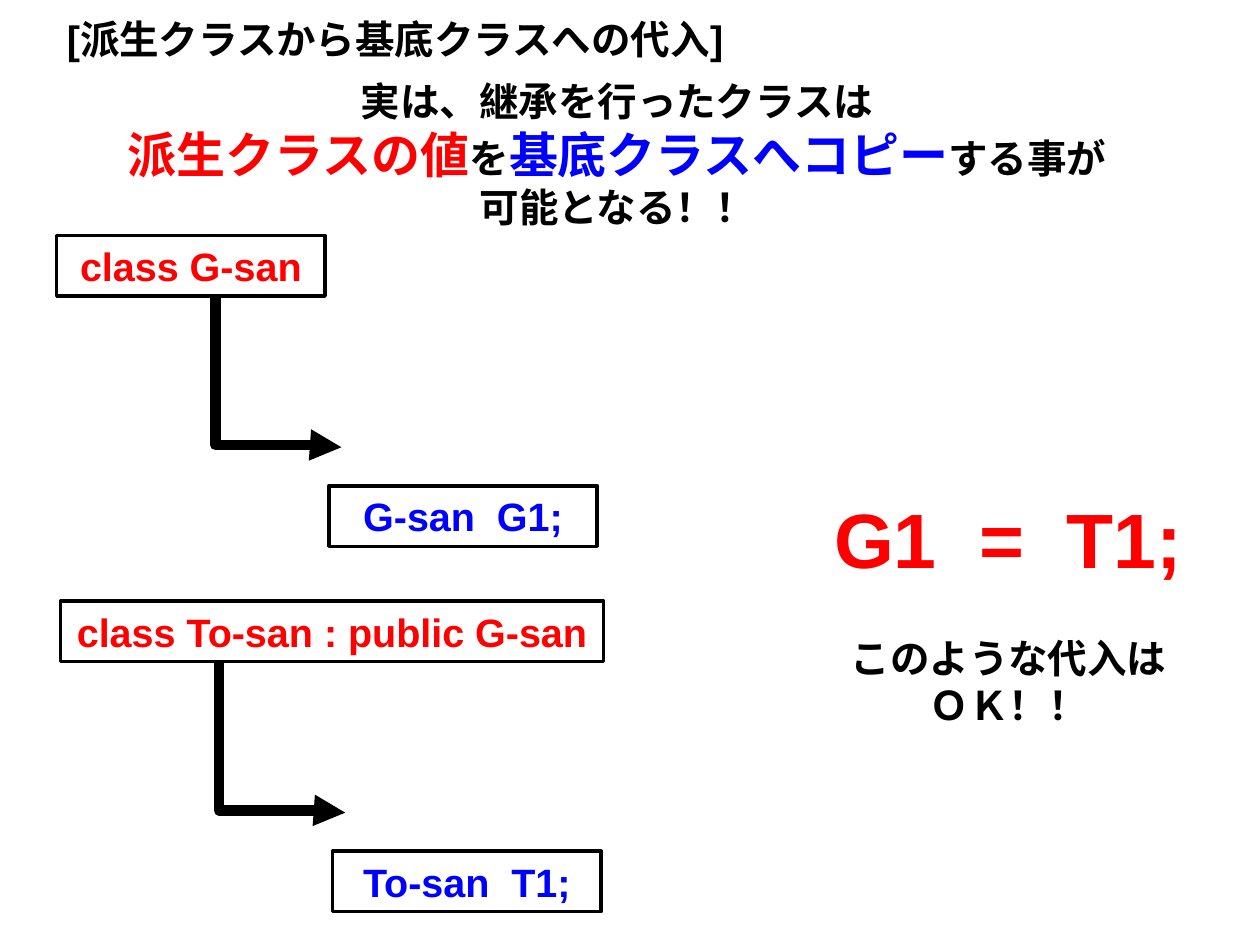
from collections import namedtuple
from dataclasses import dataclass

from lxml.etree import SubElement
from pptx import Presentation
from pptx.dml.color import RGBColor
from pptx.enum.shapes import MSO_CONNECTOR as Connector, MSO_SHAPE as Shape
from pptx.enum.text import MSO_ANCHOR as Anchor, MSO_AUTO_SIZE as AutoSize, PP_ALIGN as Align
from pptx.oxml.ns import qn
from pptx.util import Pt


@dataclass(frozen=True)
class Theme:
    font: str = "Arial"
    black: RGBColor = RGBColor(0, 0, 0)
    white: RGBColor = RGBColor(255, 255, 255)
    red: RGBColor = RGBColor(255, 0, 0)
    blue: RGBColor = RGBColor(0, 0, 255)
    body: float = 22.6
    emphasis: float = 28
    formula: float = 44
    border: float = 2
    arrow: float = 6


THEME = Theme()
Box = namedtuple("Box", "left top width height")

LABEL_HEIGHT = 34.6
INSTANCE_WIDTH = 153.4
INSTANCE_SHIFT = 155.5
INSTANCE_DROP = 143
ARROW_SHIFT = 90.7
ARROW_RUN = 72
ARROW_DROP = 86.4


def in_points(box):
    return [Pt(length) for length in box]


def format_run(run, color, size):
    run.font.name = THEME.font
    run.font.size = Pt(size)
    run.font.bold = True
    run.font.color.rgb = color


def set_text(frame, text, color=THEME.black, size=THEME.body, align=Align.CENTER):
    frame.text = text
    paragraph = frame.paragraphs[0]
    paragraph.alignment = align
    for run in paragraph.runs:
        format_run(run, color, size)


def add_title(slide, box):
    title = slide.shapes.title
    title.left, title.top, title.width, title.height = in_points(box)
    frame = title.text_frame
    set_text(frame, "[派生クラスから基底クラスへの代入]", align=Align.LEFT)
    frame.auto_size = AutoSize.NONE
    frame.vertical_anchor = Anchor.TOP


def add_text(slide, box):
    frame = slide.shapes.add_textbox(*in_points(box)).text_frame
    frame.word_wrap = True
    return frame


def add_intro(slide, box):
    paragraph = add_text(slide, box).paragraphs[0]
    paragraph.alignment = Align.CENTER
    lines = [
        [("実は、継承を行ったクラスは", THEME.black, THEME.body)],
        [("派生クラスの値", THEME.red, THEME.emphasis),
         ("を", THEME.black, THEME.body),
         ("基底クラスへコピー", THEME.blue, THEME.emphasis),
         ("する事が", THEME.black, THEME.body)],
        [("可能となる！！", THEME.black, THEME.body)],
    ]
    for number, line in enumerate(lines):
        if number:
            paragraph.add_line_break()
        for text, color, size in line:
            run = paragraph.add_run()
            run.text = text
            format_run(run, color, size)


def add_label(slide, box, text, color):
    label = slide.shapes.add_shape(Shape.RECTANGLE, *in_points(box))
    label.shadow.inherit = False
    label.fill.solid()
    label.fill.fore_color.rgb = THEME.white
    label.line.color.rgb = THEME.black
    label.line.width = Pt(THEME.border)
    label.text_frame.word_wrap = False
    label.text_frame.vertical_anchor = Anchor.MIDDLE
    set_text(label.text_frame, text, color)


def add_down_right_arrow(slide, box):
    """Draw an elbow from the box's top left, down and then right."""
    # A quarter turn swaps the sides of the frame around the same centre.
    left = box.left + (box.width - box.height) / 2
    top = box.top + (box.height - box.width) / 2
    arrow = slide.shapes.add_connector(
        Connector.ELBOW, Pt(left), Pt(top), Pt(left + box.height), Pt(top + box.width))
    arrow.line.color.rgb = THEME.black
    arrow.line.width = Pt(THEME.arrow)
    properties = arrow._element.spPr
    frame = properties.find(qn("a:xfrm"))
    frame.set("rot", "16200000")
    frame.set("flipH", "1")
    adjustments = properties.find(qn("a:prstGeom")).get_or_add_avLst()
    SubElement(adjustments, qn("a:gd"), name="adj1", fmla="val 98600")
    SubElement(properties.find(qn("a:ln")), qn("a:tailEnd"), type="triangle")
    SubElement(properties, qn("a:effectLst"))


def add_class_with_instance(slide, box, class_text, instance_text):
    """Place a class label in the box and its instance below, joined by an arrow."""
    add_label(slide, box, class_text, THEME.red)
    add_down_right_arrow(slide, Box(
        box.left + ARROW_SHIFT, box.top + box.height, ARROW_RUN, ARROW_DROP))
    instance = Box(box.left + INSTANCE_SHIFT, box.top + box.height + INSTANCE_DROP - LABEL_HEIGHT,
                   INSTANCE_WIDTH, LABEL_HEIGHT)
    add_label(slide, instance, instance_text, THEME.blue)


def add_assignment(slide, box):
    """Place the assignment over its remark, centred on one axis."""
    formula = Box(box.left, box.top, box.width, 60.5)
    remark = Box(box.left, box.top + 81.4, box.width, 62)
    set_text(add_text(slide, formula), "G1  =  T1;", THEME.red, THEME.formula)
    set_text(add_text(slide, remark), "このような代入は\vＯＫ！！")


def main():
    deck = Presentation()
    deck.slide_width, deck.slide_height = Pt(720), Pt(540)
    slide = deck.slides.add_slide(deck.slide_layouts[5])
    add_title(slide, Box(31, 5, 516, LABEL_HEIGHT))
    add_intro(slide, Box(30.2, 40.3, 645, 95.8))
    add_class_with_instance(
        slide, Box(32.4, 134.6, 153.4, LABEL_HEIGHT), "class G-san", "G-san  G1;")
    add_class_with_instance(
        slide, Box(34.6, 343.4, 310.3, LABEL_HEIGHT), "class To-san : public G-san", "To-san  T1;")
    add_assignment(slide, Box(453.6, 277.2, 245.5, 143.4))
    deck.save("out.pptx")


if __name__ == "__main__":
    main()
